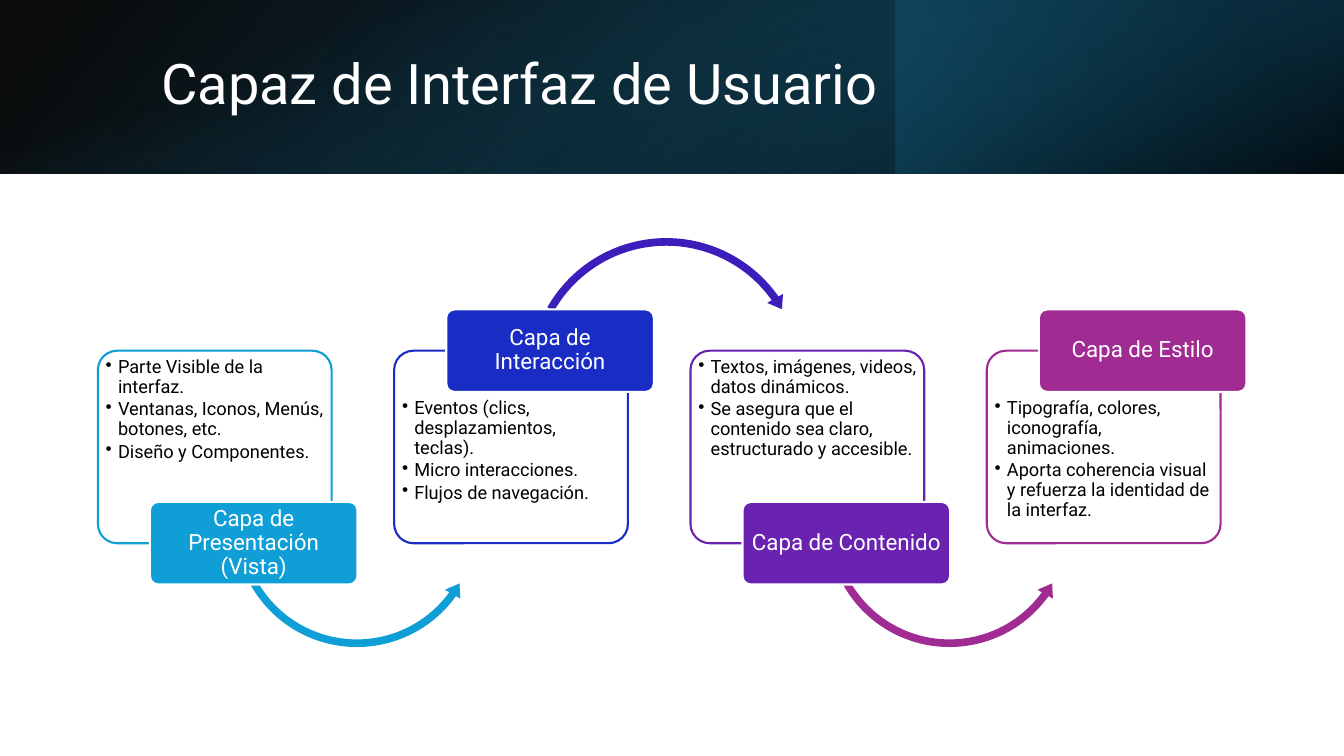
from dataclasses import dataclass

from lxml.etree import SubElement
from pptx import Presentation
from pptx.dml.color import RGBColor
from pptx.enum.shapes import MSO_SHAPE
from pptx.enum.text import MSO_ANCHOR, MSO_AUTO_SIZE, PP_ALIGN
from pptx.oxml.ns import qn
from pptx.util import Pt


@dataclass(frozen=True)
class Theme:
    font: str = "Roboto"
    title_size: int = 40
    label_size: int = 16
    body_size: int = 13
    white: str = "FFFFFF"
    black: str = "000000"
    blue: str = "0F9ED5"
    navy: str = "192CC3"
    indigo: str = "3C1EBA"
    violet: str = "6A22B1"
    magenta: str = "A02B93"
    night: str = "0B3041"
    teal: str = "104862"
    sea: str = "156082"


theme = Theme()


def add_box(kind, left, top, width, height):
    box = slide.shapes.add_shape(kind, Pt(left), Pt(top), Pt(width), Pt(height))
    box.shadow.inherit = False
    box.line.fill.background()
    return box


def format_text(frame, size, color, align, anchor):
    frame.word_wrap = True
    frame.auto_size = MSO_AUTO_SIZE.NONE
    frame.vertical_anchor = anchor
    for para in frame.paragraphs:
        para.alignment = align
        para.line_spacing = 0.9
        for span in para.runs:
            span.font.name = theme.font
            span.font.size = Pt(size)
            span.font.color.rgb = RGBColor.from_string(color)


deck = Presentation()
deck.slide_width, deck.slide_height = Pt(960), Pt(540)
slide = deck.slides.add_slide(deck.slide_layouts[5])

# Header: three translucent gradients; each stop is position, colour, opacity in percent
header_height = 124
bands = [
    ((0, 0, 960, header_height), 0, True, 140,
     [(0, theme.black, 96), (100, theme.teal, 100)]),
    ((640, 0, 320, header_height), 180, False, 320,
     [(19, theme.night, 68), (100, theme.sea, 79)]),
    ((418, -418, header_height, 960), 90, False, 340,
     [(23, theme.sea, 0), (99, theme.black, 74)]),
]
for place, rotation, flipped, angle, stops in bands:
    band = add_box(MSO_SHAPE.RECTANGLE, *place)
    band.rotation = rotation
    if flipped:
        band.element.spPr.find(qn("a:xfrm")).set("flipH", "1")
    band.fill.gradient()
    band.fill.gradient_angle = 360 - angle
    for gradient_stop, (position, color, _) in zip(band.fill.gradient_stops, stops):
        gradient_stop.position = position / 100
        gradient_stop.color.rgb = RGBColor.from_string(color)
    for color_element, (_, _, opacity) in zip(band.element.spPr.iter(qn("a:srgbClr")), stops):
        SubElement(color_element, qn("a:alpha"), val=str(opacity * 1000))

title = slide.shapes.title
title.left, title.top, title.width, title.height = Pt(108), Pt(27.4), Pt(790.5), Pt(69)
title.text_frame.text = "Capaz de Interfaz de Usuario"
format_text(title.text_frame, theme.title_size, theme.white, PP_ALIGN.LEFT, MSO_ANCHOR.MIDDLE)
slide.shapes.element.append(title.element)  # in front of the header

# Layers: labels alternate between the bottom and the top of their cards
layers = [
    ("Capa de Presentación (Vista)", theme.blue, theme.blue,
     ["Parte Visible de la interfaz.", "Ventanas, Iconos, Menús, botones, etc.",
      "Diseño y Componentes."]),
    ("Capa de Interacción", theme.navy, theme.indigo,
     ["Eventos (clics, desplazamientos, teclas).", "Micro interacciones.",
      "Flujos de navegación."]),
    ("Capa de Contenido", theme.violet, theme.magenta,
     ["Textos, imágenes, videos, datos dinámicos.",
      "Se asegura que el contenido sea claro, estructurado y accesible."]),
    ("Capa de Estilo", theme.magenta, None,
     ["Tipografía, colores, iconografía, animaciones.",
      "Aporta coherencia visual y refuerza la identidad de la interfaz."]),
]
first_left, pitch = 69.9, 211.65
card_top, card_width, card_height = 250.5, 167, 137.5
label_width, label_height = 148.3, 59
bullet_indent = Pt(8.8)

for index, (name, color, arrow_color, points) in enumerate(layers):
    left = first_left + index * pitch
    label_on_top = index % 2 == 1
    layer_color = RGBColor.from_string(color)

    card = add_box(MSO_SHAPE.ROUNDED_RECTANGLE, left, card_top, card_width, card_height)
    card.adjustments[0] = 0.1
    card.fill.solid()
    card.fill.fore_color.rgb = RGBColor.from_string(theme.white)
    SubElement(next(card.element.spPr.iter(qn("a:srgbClr"))), qn("a:alpha"), val="90000")
    card.line.color.rgb = layer_color
    card.line.width = Pt(1.5)
    frame = card.text_frame
    frame.margin_left = frame.margin_right = Pt(1.6)
    frame.margin_top = Pt(30.6 if label_on_top else 1.2)
    frame.margin_bottom = Pt(0)
    frame.text = "\n".join(points)
    for para in frame.paragraphs:
        properties = para._p.get_or_add_pPr()
        properties.set("marL", str(bullet_indent))
        properties.set("indent", str(-bullet_indent))
        SubElement(properties, qn("a:buChar"), char="•")
        para.space_after = Pt(2)
    format_text(frame, theme.body_size, theme.black, PP_ALIGN.LEFT, MSO_ANCHOR.TOP)

    if arrow_color:
        if label_on_top:
            arrow = add_box(MSO_SHAPE.CIRCULAR_ARROW, left + 92.9, 166.3, 203, 203)
            angles = (0.027, 3.313, 194.932, 125.755, 0.032)
        else:
            arrow = add_box(MSO_SHAPE.LEFT_CIRCULAR_ARROW, left + 94.3, 284.4, 181.4, 181.4)
            angles = (0.03, 3.729, 21.484, 90.245, 0.035)
        for position, value in enumerate(angles):
            arrow.adjustments[position] = value
        arrow.fill.solid()
        arrow.fill.fore_color.rgb = RGBColor.from_string(arrow_color)

    label_top = card_top + (0 if label_on_top else card_height) - label_height / 2
    label = add_box(MSO_SHAPE.ROUNDED_RECTANGLE, left + 37.2, label_top,
                    label_width, label_height)
    label.adjustments[0] = 0.1
    label.fill.solid()
    label.fill.fore_color.rgb = layer_color
    label.line.color.rgb = RGBColor.from_string(theme.white)
    label.line.width = Pt(1.5)
    frame = label.text_frame
    frame.margin_left = frame.margin_right = Pt(2)
    frame.margin_top = frame.margin_bottom = Pt(1)
    frame.text = name
    format_text(frame, theme.label_size, theme.white, PP_ALIGN.CENTER, MSO_ANCHOR.MIDDLE)

deck.save("out.pptx")
